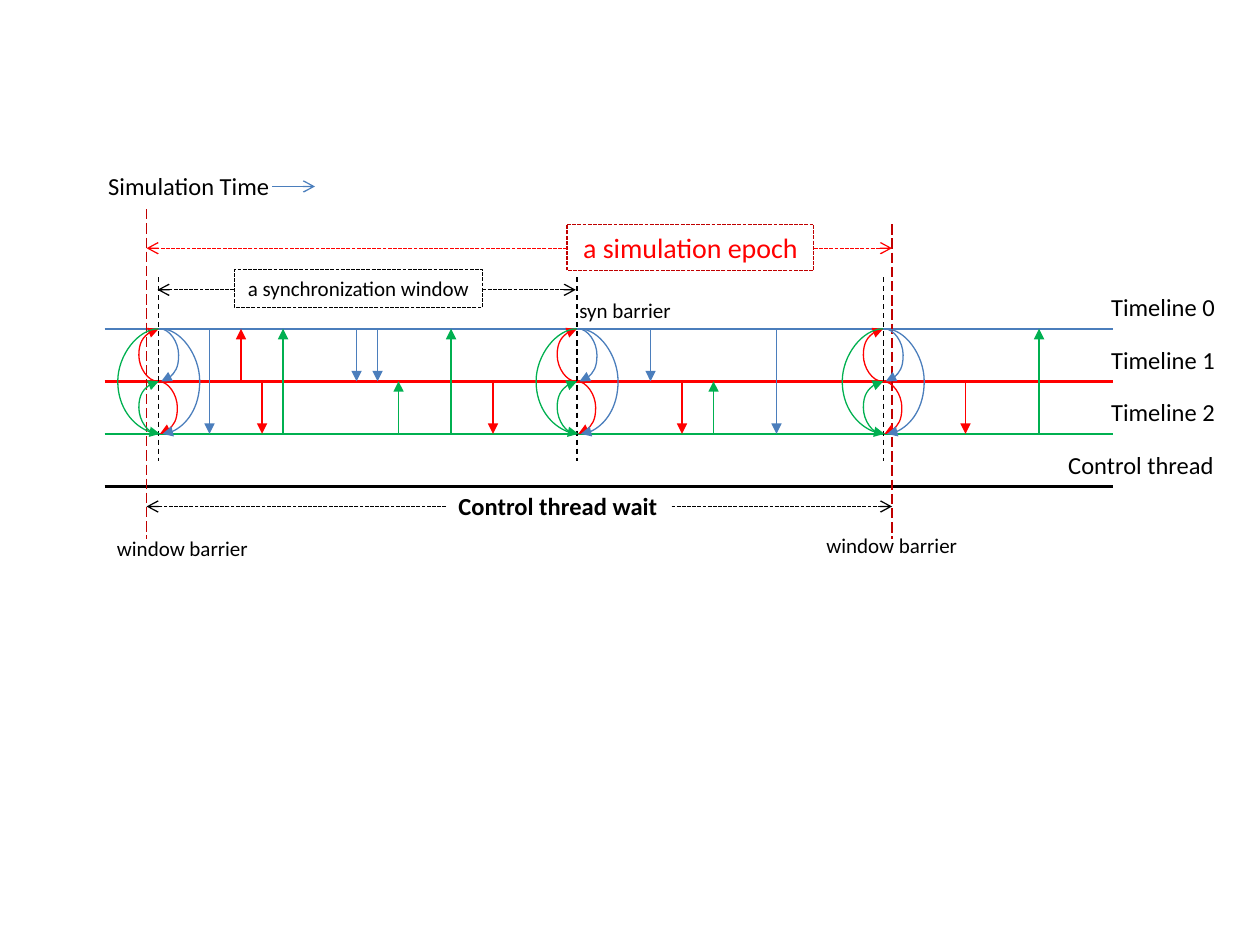
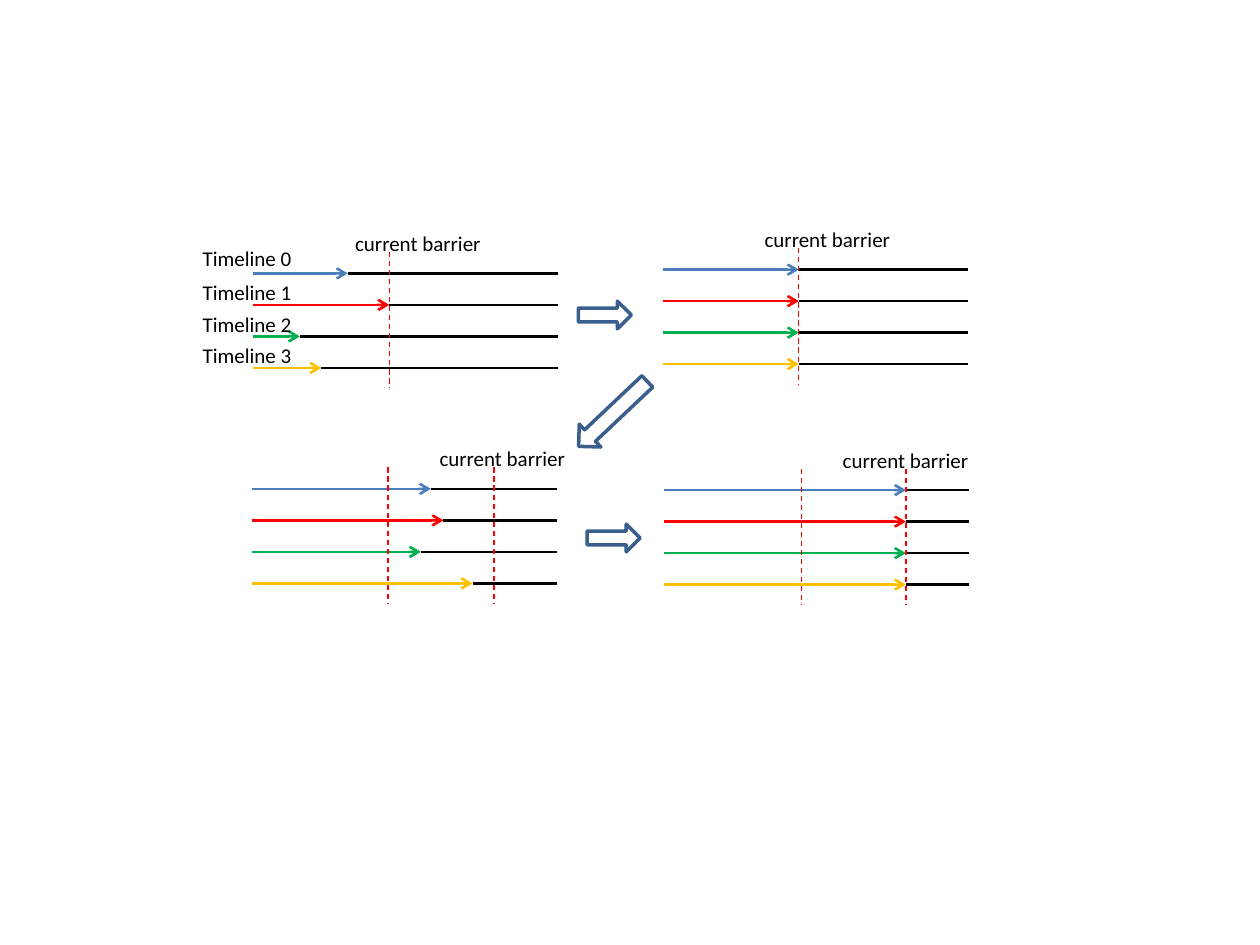
from dataclasses import dataclass

from lxml import etree
from pptx import Presentation
from pptx.dml.color import RGBColor
from pptx.enum.dml import MSO_LINE
from pptx.enum.shapes import MSO_CONNECTOR, MSO_SHAPE
from pptx.enum.text import MSO_AUTO_SIZE
from pptx.oxml.ns import qn
from pptx.util import Inches, Pt

STRAIGHT, CURVE = MSO_CONNECTOR.STRAIGHT, MSO_CONNECTOR.CURVE
RECT, RIGHT, LEFT = MSO_SHAPE.RECTANGLE, MSO_SHAPE.RIGHT_ARROW, MSO_SHAPE.LEFT_ARROW
DASH, LONG, DOT = MSO_LINE.DASH, MSO_LINE.LONG_DASH, MSO_LINE.SQUARE_DOT
FIT = MSO_AUTO_SIZE.SHAPE_TO_FIT_TEXT


@dataclass(frozen=True)
class Theme:
    """Colours, type sizes and line widths of both slides."""
    font: str = "Calibri"
    blue: str = "4B7EBC"
    red: str = "FF0000"
    green: str = "00B050"
    gold: str = "FFC000"
    black: str = "000000"
    dark: str = "C00000"
    navy: str = "3A5F8C"
    small: float = 12
    body: float = 14
    large: float = 16
    thin: float = 0.75
    thick: float = 1.5
    bold: float = 2


T = Theme()
ROWS = (T.blue, T.red, T.green, T.gold)


def pen(line, color, width, dash=None):
    """Set colour, width and dash of a line."""
    line.color.rgb = RGBColor.from_string(color)
    line.width = Pt(width)
    if dash:
        line.dash_style = dash


def link(slide, x1, y1, x2, y2, color, width=T.thin, dash=None,
         head=None, tail=None, bulge=None):
    """Draw a line, or a curve that swings out by bulge from its start."""
    kind = STRAIGHT if bulge is None else CURVE
    line = slide.shapes.add_connector(
        kind, Inches(x1), Inches(y1), Inches(x2), Inches(y2))
    pen(line.line, color, width, dash)
    props = line._element.spPr
    ends = props.find(qn("a:ln"))
    for tag, end in (("a:headEnd", head), ("a:tailEnd", tail)):
        if end:
            etree.SubElement(ends, qn(tag), type=end)
    etree.SubElement(props, qn("a:effectLst"))
    if bulge is not None:
        form = props.find(qn("a:prstGeom"))
        guides = form.find(qn("a:avLst"))
        if guides is None:
            guides = etree.SubElement(form, qn("a:avLst"))
        ratio = round(bulge / (x2 - x1) * 100000)
        etree.SubElement(guides, qn("a:gd"), name="adj1", fmla=f"val {ratio}")


def write(shape, text, size, color=T.black, bold=False):
    """Put one unwrapped line of text in a shape."""
    frame = shape.text_frame
    frame.word_wrap = False
    frame.auto_size = FIT
    para = frame.paragraphs[0]
    para.text = text
    para.font.name, para.font.size, para.font.bold = T.font, Pt(size), bold
    para.font.color.rgb = RGBColor.from_string(color)


def label(slide, x, y, w, text, size=T.small, bold=False):
    """Place a text label."""
    h = 0.3 if size == T.small else 0.34
    box = slide.shapes.add_textbox(Inches(x), Inches(y), Inches(w), Inches(h))
    write(box, text, size, bold=bold)


def outline(slide, kind, x, y, w, h, color, width, dash=None):
    """Draw an unfilled shape."""
    shape = slide.shapes.add_shape(
        kind, Inches(x), Inches(y), Inches(w), Inches(h))
    shape.shadow.inherit = False
    shape.fill.background()
    pen(shape.line, color, width, dash)
    return shape


def tracks(slide, x, y, w, gap):
    """Draw the three timelines and the control thread with their names."""
    names = ("Timeline 0", "Timeline 1", "Timeline 2", "Control thread")
    for i, (name, color) in enumerate(zip(names, ROWS[:3] + (T.black,))):
        row = y + i * gap
        link(slide, x, row, x + w, row, color, T.thick)
        wide = 1.37 if color == T.black else 1.03
        label(slide, x + w + 0.92 - wide, row - 0.34, wide, name, T.body)


def events(slide, x, y, w, gap):
    """Draw messages as (tick, source row, target row) on 96 ticks."""
    for tick, start, end in (
            (10, 0, 2), (13, 1, 0), (15, 1, 2), (17, 2, 0), (24, 0, 1),
            (26, 0, 1), (28, 2, 1), (33, 2, 0), (37, 1, 2), (52, 0, 1),
            (55, 1, 2), (58, 2, 1), (64, 0, 2), (82, 1, 2), (89, 2, 0)):
        at = x + w * tick / 96
        link(slide, at, y + start * gap, at, y + end * gap, ROWS[start],
             tail="triangle")


def barrier(slide, x, y, gap):
    """Draw a synchronization barrier with the arcs between its rows."""
    link(slide, x, y - 0.41, x, y + 1.05, T.black, dash=DASH)
    for dx, start, step, end, bulge, color in (
            (0, 1, 0.01, 2, 0.15, T.red),
            (0.01, 0, 0.01, 1, 0.15, T.blue),
            (0, 0, -0.01, 1, -0.16, T.red),
            (0, 1, -0.01, 2, -0.16, T.green),
            (0.02, 0, 0.01, 2, 0.31, T.blue),
            (0.01, 2, -0.01, 0, -0.34, T.green)):
        tip = {"tail" if bulge > 0 else "head": "triangle"}
        link(slide, x + dx, y + start * gap, x + dx + step, y + end * gap,
             color, bulge=bulge, **tip)


def span(slide, x1, x2, y, left, right, color):
    """Draw dotted arrows from a caption's two sides to the span's ends."""
    for start, end in ((left, x1), (right, x2)):
        link(slide, start, y, end, y, color, dash=DOT, tail="arrow")


def epoch(slide, x, y, w):
    """Draw the whole simulation epoch; x, y is the start of timeline 0."""
    gap = 1.25 / 3
    tracks(slide, x, y, w, gap)
    first, last = x + w * 4 / 96, x + w * 75 / 96
    for at, top in ((first, 0.95), (last, 0.83)):
        link(slide, at, y - top, at, y + 1.67, T.dark, dash=LONG)
    events(slide, x, y, w, gap)
    for dx in (0.43, 3.75, 6.18):
        barrier(slide, x + dx, y, gap)

    box = outline(slide, RECT, x + 3.67, y - 0.83, 1.96, 0.37, T.dark, T.thin, DOT)
    write(box, "a simulation epoch", T.large, T.red)
    span(slide, first, last, y - 0.64, x + 3.67, x + 5.63, T.red)
    box = outline(slide, RECT, x + 1.03, y - 0.47, 1.97, 0.3, T.black, T.thin, DOT)
    write(box, "a synchronization window", T.small)
    span(slide, x + 0.42, x + 3.74, y - 0.31, x + 1.03, x + 3, T.black)
    label(slide, x + 2.71, y + 1.24, 1.79, "Control thread wait", T.body, True)
    span(slide, first, last, y + 1.41, x + 2.71, x + 4.5, T.black)

    label(slide, x, y + 1.59, 1.25, "window barrier")
    label(slide, x + 5.63, y + 1.57, 1.25, "window barrier")
    label(slide, x + 3.67, y - 0.3, 0.93, "syn barrier")
    label(slide, x - 0.07, y - 1.3, 1.49, "Simulation Time", T.body)
    link(slide, x + 1.33, y - 1.13, x + 1.67, y - 1.13, T.blue, tail="arrow")


def panel(slide, x, y, ends, marks, name):
    """Draw one state: progress of four timelines, barriers and caption."""
    for i, (end, color) in enumerate(zip(ends, ROWS)):
        row = y + i * 0.25
        link(slide, x, row, x + end, row, color, T.thick, tail="arrow")
        link(slide, x + end, row, x + 2.42, row, T.black, T.thick)
    for mark in marks:
        link(slide, x + mark, y - 0.17, x + mark, y + 0.91, T.red, dash=DASH)
    label(slide, x + name, y - 0.39, 1.2, "current barrier")


def states(slide, x, y):
    """Draw the four states, the arrows between them and the row names."""
    panel(slide, x, y, (0.75, 1.08, 0.37, 0.54), (1.08,), 0.71)
    panel(slide, x + 3.25, y - 0.03, (1.08,) * 4, (1.08,), 0.71)
    panel(slide, x - 0.01, y + 1.71, (1.42, 1.52, 1.34, 1.75), (1.08, 1.92), 1.39)
    panel(slide, x + 3.26, y + 1.72, (1.92,) * 4, (1.09, 1.92), 1.32)
    for kind, dx, dy, w, h, turn in (
            (RIGHT, 2.58, 0.22, 0.42, 0.22, 0),
            (LEFT, 2.48, 0.99, 0.75, 0.25, 316.6),
            (RIGHT, 2.65, 1.99, 0.42, 0.22, 0)):
        arrow = outline(slide, kind, x + dx, y + dy, w, h, T.navy, T.bold)
        arrow.rotation = turn
    for i, dy in enumerate((-0.27, 0, 0.25, 0.5)):
        label(slide, x - 0.5, y + dy, 0.92, f"Timeline {i}")


def main():
    """Build both slides and save them."""
    deck = Presentation()
    deck.slide_width, deck.slide_height = Inches(10), Inches(7.5)
    blank = deck.slide_layouts[6]
    epoch(deck.slides.add_slide(blank), 0.83, 2.61, 8)
    states(deck.slides.add_slide(blank), 2.01, 2.17)
    deck.save("out.pptx")


main()
